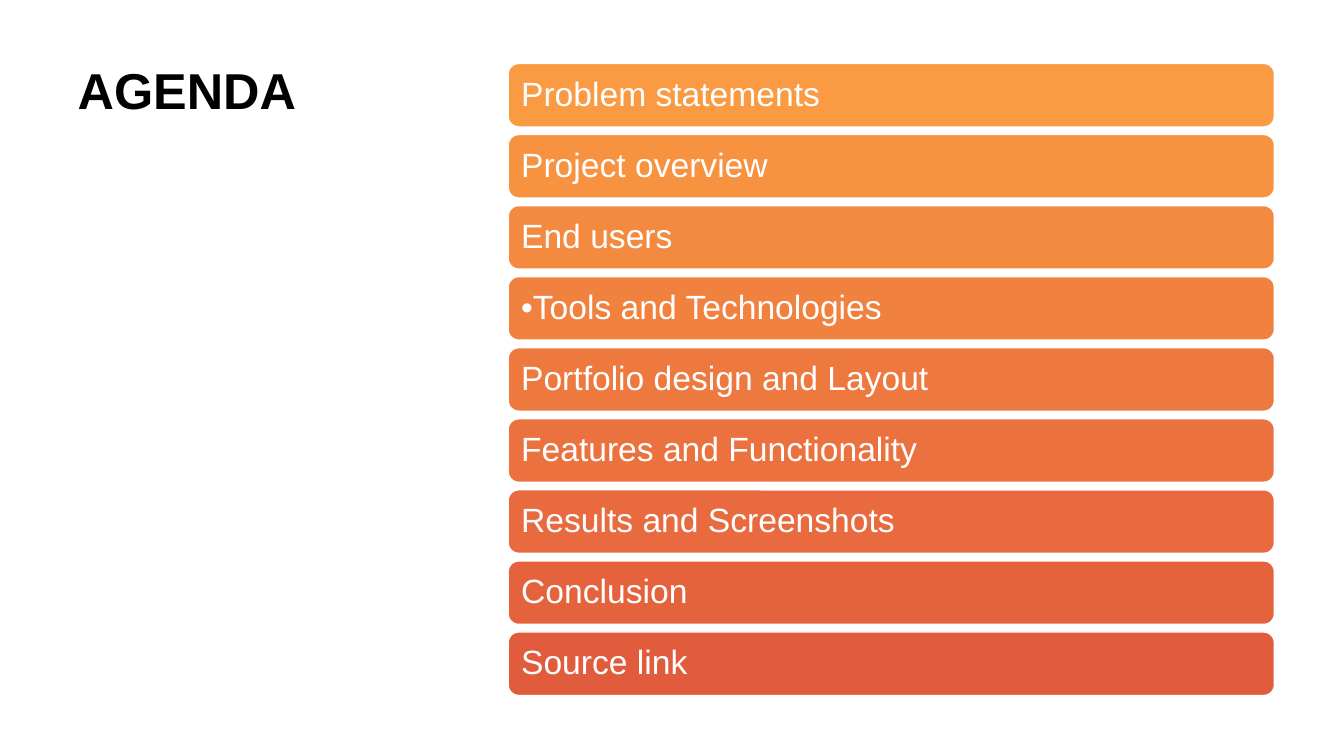
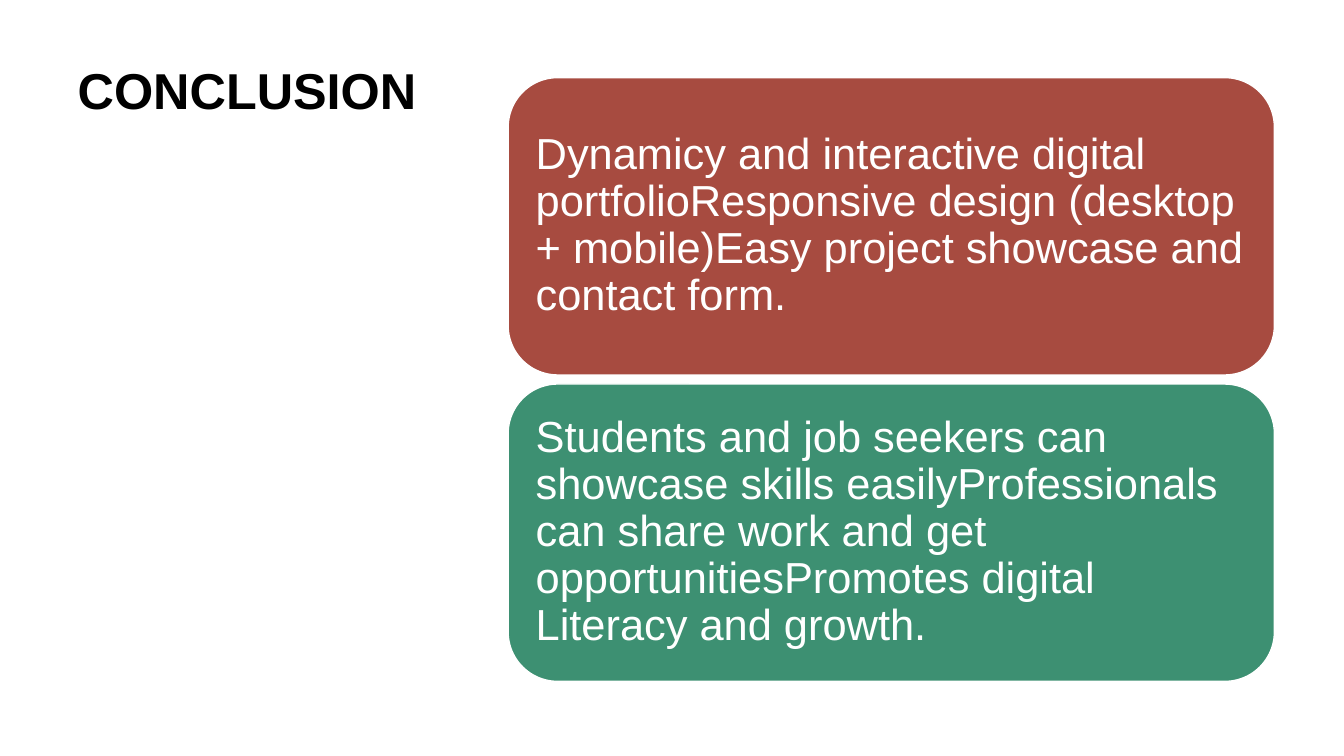
from dataclasses import dataclass

from pptx import Presentation
from pptx.dml.color import RGBColor
from pptx.enum.shapes import MSO_SHAPE as SHAPE
from pptx.enum.text import MSO_ANCHOR as ANCHOR, MSO_AUTO_SIZE as AUTO, PP_ALIGN as ALIGN
from pptx.presentation import Presentation as Deck
from pptx.slide import Slide
from pptx.text.text import TextFrame
from pptx.util import Inches, Pt

FONT = "Arial"
COLORS = {
    "white": "FFFFFF", "black": "000000", "brick": "A74B40", "green": "3D9072",
    "orange1": "FA9A42", "orange2": "F79241", "orange3": "F48940",
    "orange4": "F1813F", "orange5": "EE793F", "orange6": "EB723E",
    "orange7": "E86A3E", "orange8": "E4633D", "orange9": "E15C3D",
}
CARD_LEFT, CARD_WIDTH = 5.04, 7.6


@dataclass(frozen=True)
class Card:
    text: str
    color: str


@dataclass(frozen=True)
class Stack:
    top: float
    bottom: float
    height: float
    inset: float
    size: float
    cards: list[Card]


TOPICS = [
    "Problem statements", "Project overview", "End users",
    "•Tools and Technologies", "Portfolio design and Layout",
    "Features and Functionality", "Results and Screenshots",
    "Conclusion", "Source link",
]
AGENDA = Stack(0.63, 6.9, 0.63, 0.1, 24,
               [Card(text, f"orange{i}") for i, text in enumerate(TOPICS, 1)])
CONCLUSION = Stack(0.77, 6.76, 2.95, 0.13, 31, [
    Card("Dynamicy and interactive digital portfolioResponsive design "
         "(desktop + mobile)Easy project showcase and contact form.", "brick"),
    Card("Students and job seekers can showcase skills easilyProfessionals "
         "can share work and get opportunitiesPromotes digital Literacy "
         "and growth.", "green"),
])


def rgb(name: str) -> RGBColor:
    return RGBColor.from_string(COLORS[name])


def write(tf: TextFrame, text: str, size: float, color: str, anchor: ANCHOR,
          bold: bool = False) -> None:
    tf.word_wrap = True
    tf.auto_size = AUTO.NONE
    tf.vertical_anchor = anchor
    p = tf.paragraphs[0]
    p.alignment = ALIGN.LEFT
    p.line_spacing = 0.9
    r = p.add_run()
    r.text = text
    r.font.name = FONT
    r.font.size = Pt(size)
    r.font.bold = bold
    r.font.color.rgb = rgb(color)


def add_slide(prs: Deck, title: str) -> Slide:
    s = prs.slides.add_slide(prs.slide_layouts[5])
    s.background.fill.solid()
    s.background.fill.fore_color.rgb = rgb("white")
    sp = s.shapes.title
    sp.left, sp.top = Inches(0.67), Inches(0.6)
    sp.width, sp.height = Inches(3.82), Inches(6.33)
    write(sp.text_frame, title, 36, "black", ANCHOR.TOP, bold=True)
    return s


def add_stack(s: Slide, stack: Stack) -> None:
    pitch = (stack.bottom - stack.top - stack.height) / (len(stack.cards) - 1)
    for i, card in enumerate(stack.cards):
        sp = s.shapes.add_shape(
            SHAPE.ROUNDED_RECTANGLE, Inches(CARD_LEFT), Inches(stack.top + i * pitch),
            Inches(CARD_WIDTH), Inches(stack.height))
        sp.shadow.inherit = False
        sp.fill.solid()
        sp.fill.fore_color.rgb = rgb(card.color)
        sp.line.color.rgb = rgb("white")
        sp.line.width = Pt(1)
        tf = sp.text_frame
        tf.margin_left = tf.margin_right = Inches(stack.inset)
        tf.margin_top = tf.margin_bottom = Inches(stack.inset)
        write(tf, card.text, stack.size, "white", ANCHOR.MIDDLE)


def main() -> None:
    prs = Presentation()
    prs.slide_width, prs.slide_height = Inches(13.33), Inches(7.5)
    for title, stack in (("AGENDA", AGENDA), ("CONCLUSION", CONCLUSION)):
        add_stack(add_slide(prs, title), stack)
    prs.save("out.pptx")


if __name__ == "__main__":
    main()
